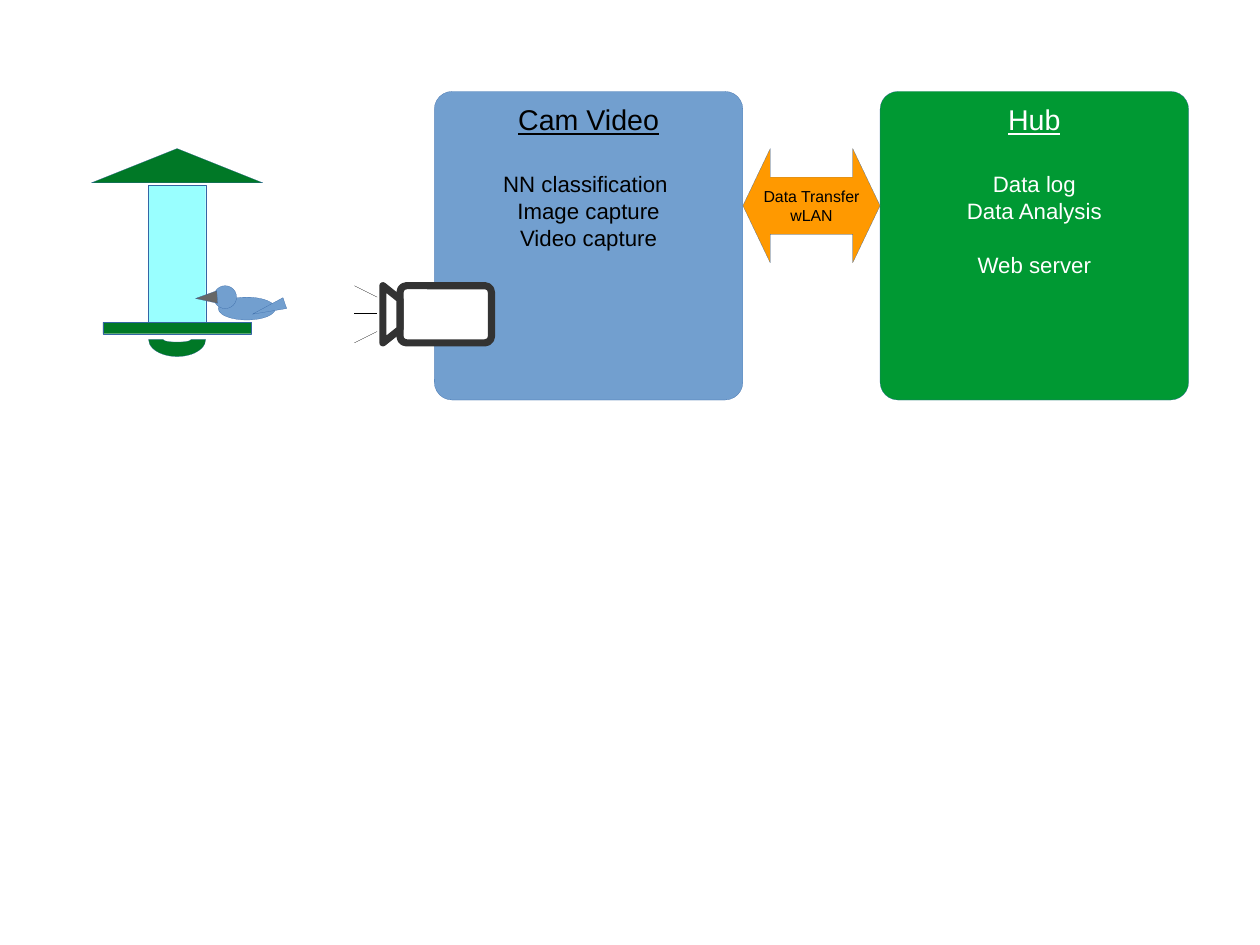
from pptx import Presentation
from pptx.dml.color import RGBColor
from pptx.enum.shapes import MSO_CONNECTOR, MSO_SHAPE
from pptx.enum.text import MSO_ANCHOR, PP_ALIGN
from pptx.oxml.ns import qn
from pptx.util import Cm, Inches, Pt
from lxml.etree import SubElement

BLUE, GREEN, EDGE, DARK = "729FCF", "007826", "3465A4", "333333"
HAIRLINE = 0.1


def rgb(value):
    """Turn a hex string into a colour."""
    return RGBColor.from_string(value)


class Diagram:
    """Draws the elements of one slide in a shared style."""

    def __init__(self, slide, font="Arial"):
        """Keep the slide and the font."""
        self.shapes = slide.shapes
        self.font = font

    def style(self, s, fill, line, width):
        """Set fill and outline and remove the shadow."""
        s.shadow.inherit = False
        s.fill.solid()
        s.fill.fore_color.rgb = rgb(fill)
        s.line.color.rgb = rgb(line)
        s.line.width = Pt(width)
        return s

    def shape(self, kind, x, y, w, h, fill, adj=(), rot=0, line=EDGE, width=HAIRLINE):
        """Add a preset shape."""
        s = self.shapes.add_shape(kind, Inches(x), Inches(y), Inches(w), Inches(h))
        for i, value in enumerate(adj):
            s.adjustments[i] = value
        s.rotation = rot
        return self.style(s, fill, line, width)

    def polygon(self, points, fill, line, width):
        """Add a closed outline."""
        start, *rest = [(Inches(x), Inches(y)) for x, y in points]
        builder = self.shapes.build_freeform(*start)
        builder.add_line_segments(rest, close=True)
        return self.style(builder.convert_to_shape(), fill, line, width)

    def line(self, x1, y1, x2, y2, color="000000"):
        """Add a hairline."""
        s = self.shapes.add_connector(
            MSO_CONNECTOR.STRAIGHT, Inches(x1), Inches(y1), Inches(x2), Inches(y2))
        s.line.color.rgb = rgb(color)
        s.line.width = Pt(HAIRLINE)
        SubElement(s._element.spPr, qn("a:effectLst"))

    def text(self, s, lines, color, anchor):
        """Write centred lines given as text, size, space before and underline."""
        tf = s.text_frame
        tf.word_wrap = False
        tf.vertical_anchor = anchor
        for i, (text, size, before, underline) in enumerate(lines):
            p = tf.add_paragraph() if i else tf.paragraphs[0]
            p.text = text
            p.alignment = PP_ALIGN.CENTER
            if before:
                p.space_before = Pt(before)
            p.font.name = self.font
            p.font.size = Pt(size)
            p.font.underline = underline
            p.font.color.rgb = rgb(color)

    def device(self, x, fill, color, title, items):
        """Add a device box with an underlined title and (text, gap) items."""
        s = self.shape(MSO_SHAPE.ROUNDED_RECTANGLE, x, 0.8, 2.7, 2.7, fill, [0.058])
        lines = [(title, 18, 0, True)]
        lines += [(text, 14, gap, False) for text, gap in items]
        self.text(s, lines, color, MSO_ANCHOR.TOP)

    def feeder(self):
        """Draw the bird feeder."""
        self.shape(MSO_SHAPE.RECTANGLE, 1.3, 1.62, 0.5, 1.2, "99FFFF")
        self.shape(MSO_SHAPE.RECTANGLE, 0.9, 2.82, 1.3, 0.1, GREEN)
        self.shape(MSO_SHAPE.BLOCK_ARC, 1.3, 2.82, 0.5, 0.3, GREEN, [0, 108, 0.422])
        self.shape(MSO_SHAPE.ISOSCELES_TRIANGLE, 0.8, 1.3, 1.5, 0.3, GREEN)

    def bird(self):
        """Draw the body, head, beak and tail."""
        self.shape(MSO_SHAPE.OVAL, 1.91, 2.6, 0.5, 0.2, BLUE)
        self.shape(MSO_SHAPE.OVAL, 1.87, 2.5, 0.2, 0.2, BLUE)
        self.shape(MSO_SHAPE.ISOSCELES_TRIANGLE, 1.75, 2.51, 0.11, 0.19, "666666", rot=266.2)
        self.shape(MSO_SHAPE.ISOSCELES_TRIANGLE, 2.3, 2.55, 0.1, 0.3, BLUE, rot=251.1)

    def camera(self):
        """Draw the camera and its rays of view."""
        self.shape(MSO_SHAPE.ROUNDED_RECTANGLE, 3.5, 2.5, 0.8, 0.5, "FFFFFF",
                   [0.114], line=DARK, width=4.5)
        lens = [(3.35, 3), (3.35, 2.5), (3.5, 2.62), (3.5, 2.88)]
        self.polygon(lens, "FFFFFF", DARK, 4.5)
        for near, far in [(2.6, 2.5), (2.9, 3), (2.74, 2.74)]:
            self.line(3.3, near, 3.1, far)


def main():
    """Build and save the slide."""
    prs = Presentation()
    prs.slide_width, prs.slide_height = Cm(28), Cm(21)
    d = Diagram(prs.slides.add_slide(prs.slide_layouts[6]))
    d.feeder()
    d.bird()
    d.device(3.8, BLUE, "000000", "Cam Video",
             [("NN classification ", 21.5), ("Image capture", 0), ("Video capture", 0)])
    d.camera()
    d.device(7.7, "009933", "FFFFFF", "Hub",
             [("Data log", 21.5), ("Data Analysis", 0), ("Web server", 17)])
    arrow = d.shape(MSO_SHAPE.LEFT_RIGHT_ARROW, 6.5, 1.3, 1.2, 1, "FF9900", [0.5, 0.239])
    d.text(arrow, [(text, 10, 0, False) for text in ("Data Transfer", "wLAN")],
           "000000", MSO_ANCHOR.MIDDLE)
    prs.save("out.pptx")


if __name__ == "__main__":
    main()
